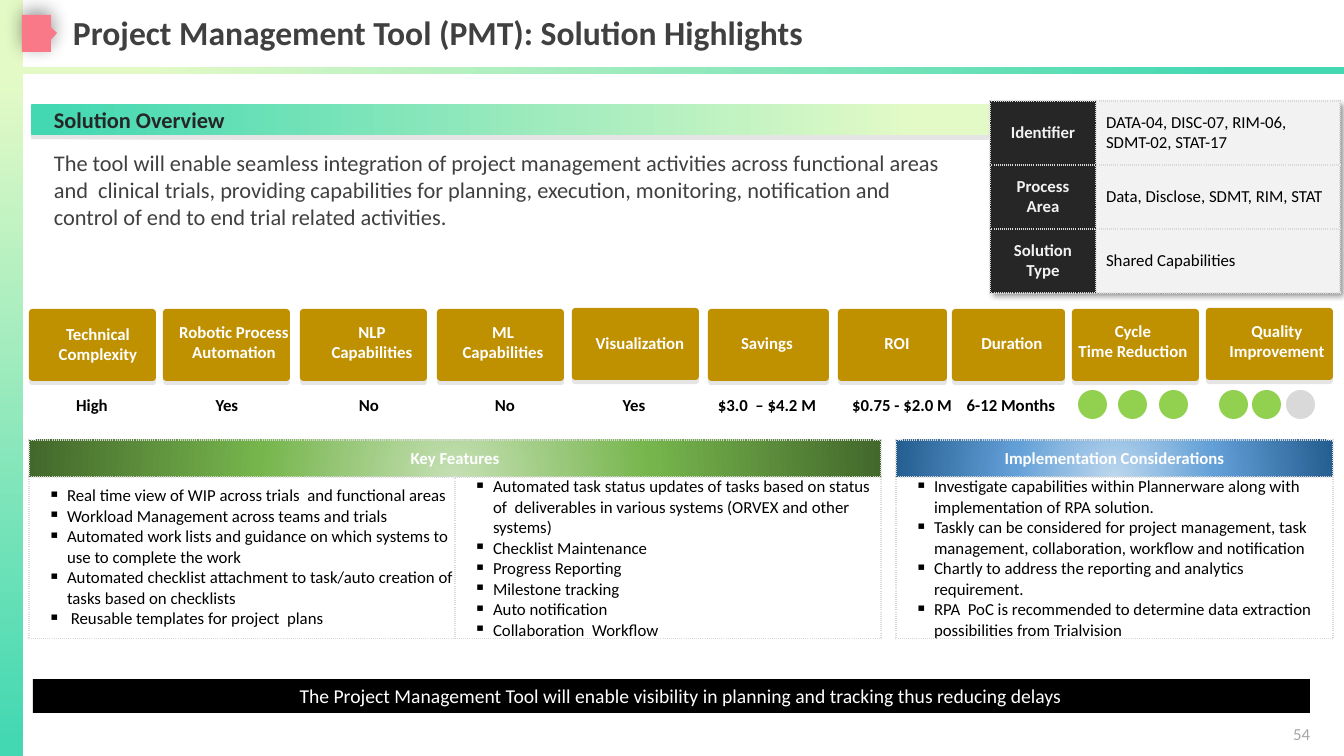
from lxml import etree
from pptx import Presentation
from pptx.dml.color import RGBColor
from pptx.enum.shapes import MSO_SHAPE
from pptx.enum.text import MSO_ANCHOR, PP_ALIGN
from pptx.oxml import parse_xml
from pptx.oxml.ns import qn
from pptx.util import Pt

PX = 914400 / 100.8
A = 'xmlns:a="http://schemas.openxmlformats.org/drawingml/2006/main"'
RECT, ROUND, OVAL = MSO_SHAPE.RECTANGLE, MSO_SHAPE.ROUNDED_RECTANGLE, MSO_SHAPE.OVAL
LEFT, CENTER, RIGHT = PP_ALIGN.LEFT, PP_ALIGN.CENTER, PP_ALIGN.RIGHT
TOP, MIDDLE = MSO_ANCHOR.TOP, MSO_ANCHOR.MIDDLE

LIME, TEAL = "E4FAC6", "43D8B2"
GOLD, GREEN, GREY = "BF9000", "92D050", "D9D9D9"
DARK, LIGHT, BLACK, WHITE = "262626", "F2F2F2", "000000", "FFFFFF"
CIRCLE = '<a:path path="circle"><a:fillToRect l="50000" t="130000" r="50000" b="-30000"/></a:path>'

FACTS = [
    ("Identifier", "DATA-04, DISC-07, RIM-06, SDMT-02, STAT-17"),
    ("Process Area", "Data, Disclose, SDMT, RIM, STAT"),
    ("Solution Type", "Shared Capabilities"),
]
# card left, top, width; heading centre, top, lines; value centre, value
METRICS = [
    (29, 309, 127, 98, 319, ["Technical", "Complexity"], 92, "High"),
    (163, 309, 127, 234, 317, ["Robotic Process", "Automation"], 227, "Yes"),
    (300, 309, 127, 372, 317, ["NLP", "Capabilities"], 369, "No"),
    (437, 309, 127, 503, 317, ["ML", "Capabilities"], 505, "No"),
    (572, 308, 127, 640, 328, ["Visualization"], 634, "Yes"),
    (708, 309, 121, 767, 328, ["Savings"], 767, "$3.0  – $4.2 M"),
    (838, 309, 109, 897, 328, ["ROI"], 902, "$0.75 - $2.0 M"),
    (952, 309, 113, 1012, 328, ["Duration"], 1011, "6-12 Months"),
    (1072, 309, 127, 1133, 316, ["Cycle", "Time Reduction"], None, None),
    (1206, 308, 127, 1277, 316, ["Quality", "Improvement"], None, None),
]
RATINGS = [(1078, GREEN), (1118, GREEN), (1159, GREEN),
           (1219, GREEN), (1252, GREEN), (1286, GREY)]
FEATURES = [
    ["Real time view of WIP across trials  and functional areas",
     "Workload Management across teams and trials",
     "Automated work lists and guidance on which systems to  use to complete the work",
     "Automated checklist attachment to task/auto creation of tasks based on checklists",
     " Reusable templates for project  plans"],
    ["Automated task status updates of tasks based on status of  deliverables in "
     "various systems (ORVEX and other systems)",
     "Checklist Maintenance", "Progress Reporting", "Milestone tracking",
     "Auto notification", "Collaboration  Workflow"],
]
CONSIDERATIONS = [[
    "Investigate capabilities within Plannerware along with implementation of RPA solution.",
    "Taskly can be considered for project management, task management, collaboration, "
    "workflow and notification",
    "Chartly to address the reporting and analytics requirement.",
    "RPA  PoC is recommended to determine data extraction possibilities from Trialvision",
]]


def px(value):
    return round(value * PX)


def emu(box):
    return [px(value) for value in box]


def color(hex_code):
    return RGBColor.from_string(hex_code)


def set_solid(fill, hex_code):
    fill.solid()
    fill.fore_color.rgb = color(hex_code)


def set_gradient(fill, properties, stops, direction):
    """Fill a shape or cell with (percent, hex) stops along the given direction XML."""
    fill.gradient()
    stop_xml = "".join(f'<a:gs pos="{at * 1000}"><a:srgbClr val="{code}"/></a:gs>'
                       for at, code in stops)
    default = properties.find(qn("a:gradFill"))
    properties.replace(default, parse_xml(
        f'<a:gradFill {A} rotWithShape="1"><a:gsLst>{stop_xml}</a:gsLst>{direction}</a:gradFill>'))


def linear(degrees):
    return f'<a:lin ang="{degrees * 60000}" scaled="0"/>'


def shadow_xml(alpha, blur, distance, degrees):
    return parse_xml(
        f'<a:effectLst {A}><a:outerShdw blurRad="{Pt(blur)}" dist="{Pt(distance)}" '
        f'dir="{degrees * 60000}" algn="ctr" rotWithShape="0"><a:srgbClr val="000000">'
        f'<a:alpha val="{alpha * 1000}"/></a:srgbClr></a:outerShdw></a:effectLst>')


def set_shadow(shape, *shadow):
    shape.shadow.inherit = False
    properties = shape.element.spPr
    properties.replace(properties.find(qn("a:effectLst")), shadow_xml(*shadow))


def write(frame, lines, size, hex_code, bold=False, align=LEFT, bullet=False, indent=0):
    for index, line in enumerate(lines):
        paragraph = frame.paragraphs[0] if index == 0 else frame.add_paragraph()
        properties = paragraph._p.get_or_add_pPr()
        if bullet:
            properties.set("marL", str(px(38)))
            properties.set("indent", str(px(-19)))
            etree.SubElement(properties, qn("a:buChar")).set("char", "▪")
        elif indent:
            properties.set("marL", str(px(indent)))
        paragraph.alignment = align
        paragraph.add_run().text = line
        for name, value in dict(name="Calibri", size=Pt(size), bold=bold).items():
            setattr(paragraph.font, name, value)
        paragraph.font.color.rgb = color(hex_code)


def add_text(slide, box, lines, size, hex_code, wrap=False, **style):
    frame = slide.shapes.add_textbox(*emu(box)).text_frame
    frame.word_wrap = wrap
    write(frame, lines, size, hex_code, **style)


def add_block(slide, kind, box, hex_code=None):
    shape = slide.shapes.add_shape(kind, *emu(box))
    shape.shadow.inherit = False
    shape.line.fill.background()
    if hex_code:
        set_solid(shape.fill, hex_code)
    if kind == ROUND:
        shape.adjustments[0] = 0.05
    return shape


def add_gradient_bar(slide, kind, box, stops, degrees):
    bar = add_block(slide, kind, box)
    set_gradient(bar.fill, bar.element.spPr, stops, linear(degrees))
    return bar


def add_grid(slide, left, top, widths, heights):
    """Add a plain table with dotted borders, sized by its columns and rows."""
    table = slide.shapes.add_table(len(heights), len(widths), *emu(
        (left, top, sum(widths), sum(heights)))).table
    table.first_row = table.horz_banding = False
    for parts, name, lengths in ((table.columns, "width", widths), (table.rows, "height", heights)):
        for part, length in zip(parts, lengths):
            setattr(part, name, px(length))
    for cell in table.iter_cells():
        for index, side in enumerate(("lnL", "lnR", "lnT", "lnB")):
            cell._tc.get_or_add_tcPr().insert(index, parse_xml(
                f'<a:{side} {A} w="12700"><a:solidFill><a:srgbClr val="{GREY}"/></a:solidFill>'
                f'<a:prstDash val="sysDot"/></a:{side}>'))
    return table


def clear_margins(cell):
    for side in ("left", "right", "top", "bottom"):
        setattr(cell, f"margin_{side}", 0)


def add_frame(slide, title):
    add_gradient_bar(slide, RECT, (0, 0, 23, 756), [(10, LIME), (98, TEAL)], 90)
    add_gradient_bar(slide, RECT, (0, 67, 1344, 7), [(10, LIME), (92, TEAL)], 0)
    builder = slide.shapes.build_freeform(22, 15, scale=PX)
    builder.add_line_segments([(51, 15), (51, 27), (57, 33), (51, 40), (51, 52), (22, 52)])
    marker = builder.convert_to_shape()
    set_solid(marker.fill, "F97989")
    marker.line.fill.background()
    set_shadow(marker, 40, 13, 3, 270)
    heading = slide.shapes.title
    heading.left, heading.top, heading.width, heading.height = emu((73, 16, 930, 37))
    frame = heading.text_frame
    for side in ("left", "right", "top", "bottom"):
        setattr(frame, f"margin_{side}", 0)
    frame.vertical_anchor = MIDDLE
    write(frame, [title], 24, "404040", bold=True)
    frame.paragraphs[0].line_spacing = 0.9
    add_text(slide, (1018, 719, 302, 40), ["54"], 12, "A6A6A6", wrap=True, align=RIGHT)


def add_overview(slide, left, top, width):
    bar = add_gradient_bar(slide, ROUND, (left, top, width, 31), [(2, TEAL), (93, LIME)], 0)
    set_shadow(bar, 10, 0, 3, 90)
    add_text(slide, (left + 13, top - 3, 194, 37), ["Solution Overview"], 16, DARK, bold=True)
    add_text(slide, (left + 13, top + 40, 925, 92), [
        "The tool will enable seamless integration of project management activities across "
        "functional areas and  clinical trials, providing capabilities for planning, execution, "
        "monitoring, notification and control of end to end trial related activities."],
        16, "404040", wrap=True)


def add_facts(slide, left, top):
    table = add_grid(slide, left, top, [106, 244], [64] * 3)
    table._tbl.tblPr.insert(0, shadow_xml(40, 4, 3, 45))
    for row, (label, value) in enumerate(FACTS):
        for column, (text, back, ink) in enumerate(((label, DARK, LIGHT), (value, LIGHT, BLACK))):
            cell = table.cell(row, column)
            set_solid(cell.fill, back)
            cell.vertical_anchor = MIDDLE
            is_label = column == 0
            write(cell.text_frame, [text], 12, ink, bold=is_label,
                  align=CENTER if is_label else LEFT)


def add_metrics(slide):
    for left, top, width, center, text_top, lines, value_center, value in METRICS:
        set_shadow(add_block(slide, ROUND, (left, top, width, 72), GOLD), 10, 0, 3, 90)
        add_text(slide, (center - 70, text_top, 140, 10 + 20 * len(lines)), lines, 12, WHITE,
                 bold=True, align=CENTER)
        if value:
            add_text(slide, (value_center - 70, 390, 140, 30), [value], 12, BLACK,
                     bold=True, align=CENTER)
    for left, hex_code in RATINGS:
        add_block(slide, OVAL, (left, 390, 29, 29), hex_code)


def add_bullet_table(slide, left, widths, title, colors, lists, anchor):
    table = add_grid(slide, left, 440, widths, [37, 161])
    header = table.cell(0, 0)
    if len(widths) > 1:
        header.merge(table.cell(0, len(widths) - 1))
    set_gradient(header.fill, header._tc.tcPr, list(zip((0, 46, 100), colors)), CIRCLE)
    clear_margins(header)
    header.vertical_anchor = MIDDLE
    write(header.text_frame, [title], 12, WHITE, bold=True, align=CENTER)
    for column, lines in enumerate(lists):
        cell = table.cell(1, column)
        set_solid(cell.fill, WHITE)
        clear_margins(cell)
        cell.vertical_anchor = anchor
        write(cell.text_frame, lines, 12, BLACK, bullet=True)


def add_takeaway(slide, box):
    bar = add_block(slide, RECT, box, BLACK)
    bar.text_frame.vertical_anchor = MIDDLE
    write(bar.text_frame, ["The Project Management Tool will enable visibility in planning and "
                           "tracking thus reducing delays"], 14, WHITE, align=CENTER, indent=19)


def main():
    presentation = Presentation()
    presentation.slide_width, presentation.slide_height = px(1344), px(756)
    slide = presentation.slides.add_slide(presentation.slide_layouts[5])
    add_frame(slide, "Project Management Tool (PMT): Solution Highlights")
    add_overview(slide, 31, 104, 958)
    add_facts(slide, 990, 101)
    add_metrics(slide)
    add_bullet_table(slide, 29, [426, 426], "Key Features",
                     ("C5E0B4", "76B54C", "43682B"), FEATURES, MIDDLE)
    add_bullet_table(slide, 896, [437], "Implementation Considerations",
                     ("BDD7EE", "63A0D7", "255E91"), CONSIDERATIONS, TOP)
    add_takeaway(slide, (33, 679, 1277, 34))
    presentation.save("out.pptx")


if __name__ == "__main__":
    main()
